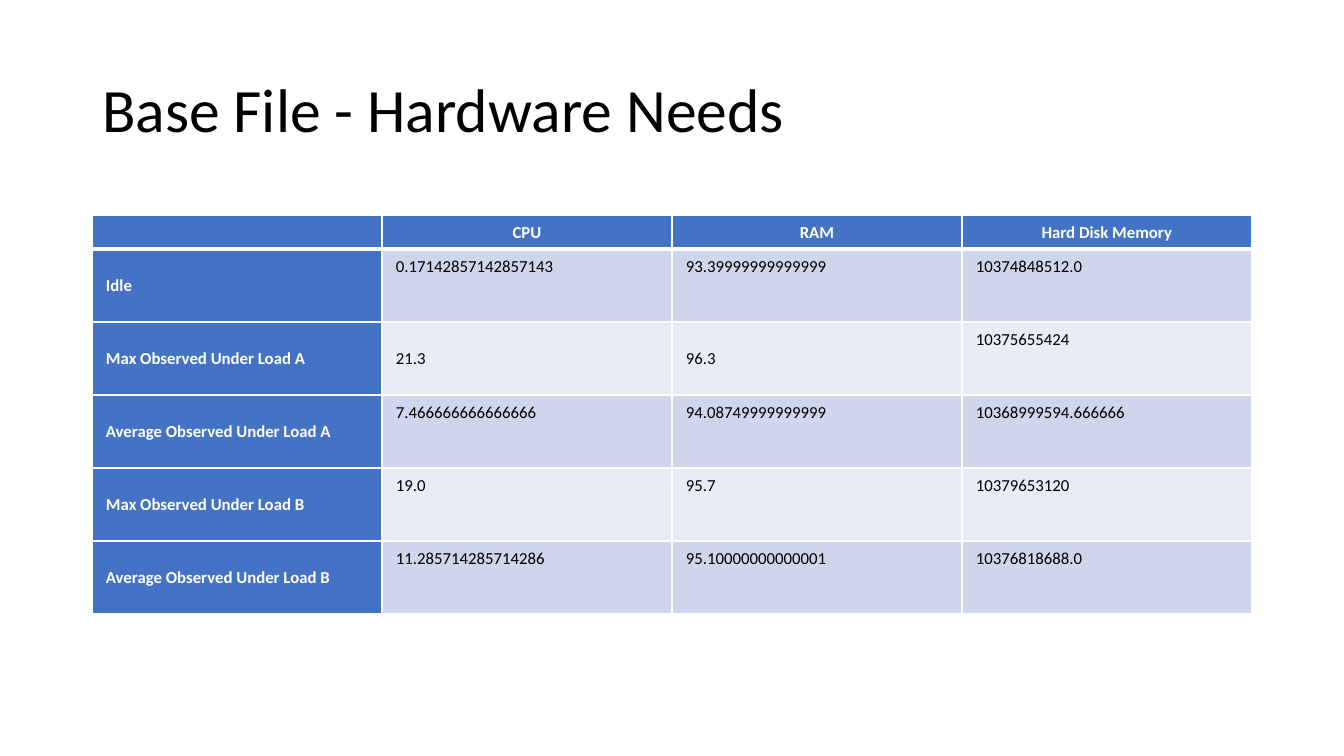
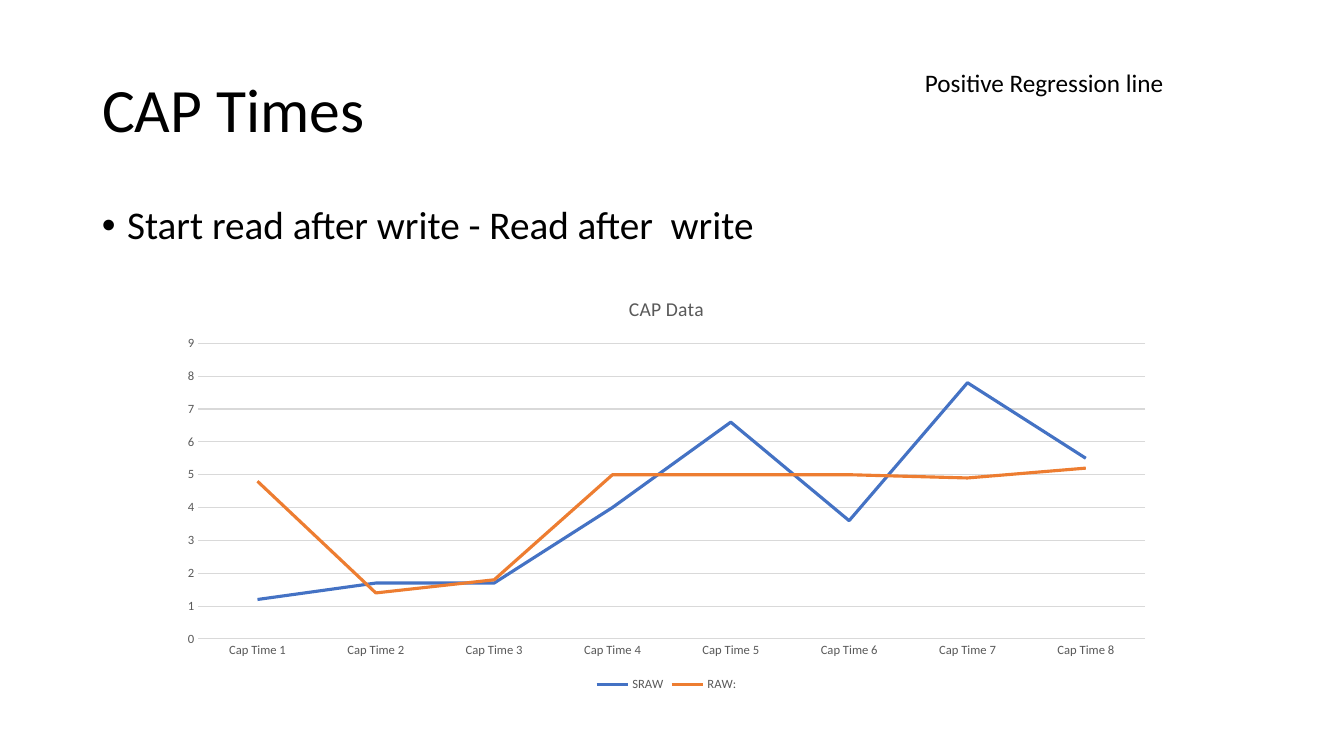
from lxml.etree import SubElement
from pptx import Presentation
from pptx.chart.data import CategoryChartData
from pptx.dml.color import RGBColor
from pptx.enum.chart import XL_CHART_TYPE, XL_LEGEND_POSITION, XL_TICK_MARK
from pptx.enum.text import MSO_ANCHOR, MSO_AUTO_SIZE, PP_ALIGN
from pptx.oxml.ns import qn
from pptx.util import Emu, Pt

BLACK = RGBColor(0x00, 0x00, 0x00)
WHITE = RGBColor(0xFF, 0xFF, 0xFF)
BLUE = RGBColor(0x44, 0x72, 0xC4)
ORANGE = RGBColor(0xED, 0x7D, 0x31)
BAND_DARK = RGBColor(0xCF, 0xD5, 0xEA)
BAND_LIGHT = RGBColor(0xE9, 0xEB, 0xF5)
GRAY = RGBColor(0x59, 0x59, 0x59)
GRID = RGBColor(0xD9, 0xD9, 0xD9)

FONT = "Calibri"
EMU_PER_PX = 914400 / 100.8
LEFT, CONTENT_WIDTH = 92, 1160
TITLE_ONLY = 5

HARDWARE = [
    ["", "CPU", "RAM", "Hard Disk Memory"],
    ["Idle", "0.17142857142857143", "93.39999999999999", "10374848512.0"],
    ["Max Observed Under Load A", "21.3", "96.3", "10375655424"],
    ["Average Observed Under Load A", "7.466666666666666", "94.08749999999999", "10368999594.666666"],
    ["Max Observed Under Load B", "19.0", "95.7", "10379653120"],
    ["Average Observed Under Load B", "11.285714285714286", "95.10000000000001", "10376818688.0"],
]
CENTERED_CELLS = {(2, 1), (2, 2)}

CAP_TIMES = [
    ("SRAW", BLUE, [1.2, 1.7, 1.7, 4, 6.6, 3.6, 7.8, 5.5]),
    ("RAW:", ORANGE, [4.8, 1.4, 1.8, 5, 5, 5, 4.9, 5.2]),
]


def px(*lengths):
    return [Emu(round(length * EMU_PER_PX)) for length in lengths]


class SlideWriter:
    def __init__(self):
        self.deck = Presentation()
        self.deck.slide_width, self.deck.slide_height = px(1344, 756)
        self.page = None

    def style_font(self, font, size, color, bold=False):
        font.name = FONT
        font.size = Pt(size)
        font.bold = bold
        font.color.rgb = color

    def add_span(self, para, text, size, color=BLACK, bold=False):
        span = para.add_run()
        span.text = text
        self.style_font(span.font, size, color, bold)

    def add_page(self, title):
        self.page = self.deck.slides.add_slide(self.deck.slide_layouts[TITLE_ONLY])
        box = self.page.shapes.title
        box.left, box.top, box.width, box.height = px(LEFT, 40, CONTENT_WIDTH, 146)
        frame = box.text_frame
        frame.word_wrap = True
        frame.auto_size = MSO_AUTO_SIZE.NONE
        frame.vertical_anchor = MSO_ANCHOR.MIDDLE
        para = frame.paragraphs[0]
        para.alignment = PP_ALIGN.LEFT
        para.line_spacing = 0.9
        self.add_span(para, title, 44)

    def add_text(self, bounds, text, size):
        box = self.page.shapes.add_textbox(*px(*bounds))
        box.text_frame.word_wrap = True
        para = box.text_frame.paragraphs[0]
        self.add_span(para, text, size)
        return para

    def add_bullet(self, bounds, text, size):
        para = self.add_text(bounds, text, size)
        para.line_spacing = 0.9
        para.space_before = Pt(10)
        properties = para._p.get_or_add_pPr()
        properties.set("marL", str(Pt(18)))
        properties.set("indent", str(-Pt(18)))
        SubElement(properties, qn("a:buFont"), typeface="Arial")
        SubElement(properties, qn("a:buChar"), char="•")

    def add_borders(self, cell, top, bottom):
        properties = cell._tc.get_or_add_tcPr()
        sides = [("L", 1), ("R", 1), ("T", top), ("B", bottom)]
        for position, (side, width) in enumerate(sides):
            line = SubElement(properties, qn(f"a:ln{side}"), w=str(Pt(width)))
            fill = SubElement(line, qn("a:solidFill"))
            SubElement(fill, qn("a:srgbClr"), val=str(WHITE))
            properties.insert(position, line)

    def fill_cell(self, cell, text, row, column):
        header, label = row == 0, column == 0
        strong = header or label
        cell.margin_left, cell.margin_right, cell.margin_top, cell.margin_bottom = px(14, 14, 6, 6)
        centered = strong or (row, column) in CENTERED_CELLS
        cell.vertical_anchor = MSO_ANCHOR.MIDDLE if centered else MSO_ANCHOR.TOP
        cell.fill.solid()
        band = BAND_DARK if row % 2 else BAND_LIGHT
        cell.fill.fore_color.rgb = BLUE if strong else band
        self.add_borders(cell, top=3 if row == 1 else 1, bottom=3 if header else 1)
        para = cell.text_frame.paragraphs[0]
        para.alignment = PP_ALIGN.CENTER if header else PP_ALIGN.LEFT
        para.line_spacing = 1.07
        if text:
            self.add_span(para, text, 12, WHITE if strong else BLACK, strong)
        else:
            para.font.size = Pt(12)

    def add_table(self, left, top, width, rows, header_height, row_height):
        heights = [header_height] + [row_height] * (len(rows) - 1)
        columns = len(rows[0])
        frame = self.page.shapes.add_table(len(rows), columns, *px(left, top, width, sum(heights)))
        table = frame.table
        table.horz_banding = False
        for column in table.columns:
            column.width = px(width / columns)[0]
        for row, (values, height) in enumerate(zip(rows, heights)):
            table.rows[row].height = px(height)[0]
            for column, text in enumerate(values):
                self.fill_cell(table.cell(row, column), text, row, column)

    def style_line(self, line, color, width):
        line.color.rgb = color
        line.width = Pt(width)

    def add_line_chart(self, bounds, title, categories, series):
        data = CategoryChartData()
        data.categories = categories
        for name, _, values in series:
            data.add_series(name, values)
        chart = self.page.shapes.add_chart(XL_CHART_TYPE.LINE, *px(*bounds), data).chart
        self.style_font(chart.font, 10, BLACK)
        chart.has_title = True
        self.add_span(chart.chart_title.text_frame.paragraphs[0], title, 14, GRAY)
        chart.chart_title.include_in_layout = False
        chart.has_legend = True
        chart.legend.position = XL_LEGEND_POSITION.BOTTOM
        chart.legend.include_in_layout = False
        self.style_font(chart.legend.font, 9, GRAY)
        for axis in (chart.category_axis, chart.value_axis):
            axis.major_tick_mark = XL_TICK_MARK.NONE
            axis.minor_tick_mark = XL_TICK_MARK.NONE
            self.style_font(axis.tick_labels.font, 9, GRAY)
        self.style_line(chart.category_axis.format.line, GRID, 0.75)
        values_axis = chart.value_axis
        values_axis.minimum_scale, values_axis.maximum_scale = 0, 9
        values_axis.major_unit = 1
        values_axis.format.line.fill.background()
        values_axis.has_major_gridlines = True
        self.style_line(values_axis.major_gridlines.format.line, GRID, 0.75)
        plot = chart.plots[0]
        plot.vary_by_categories = False
        for drawn, (_, color, _) in zip(plot.series, series):
            drawn.smooth = False
            self.style_line(drawn.format.line, color, 2.25)


def main():
    writer = SlideWriter()

    writer.add_page("Base File - Hardware Needs")
    writer.add_table(LEFT, 215, CONTENT_WIDTH, HARDWARE, header_height=34, row_height=73)

    writer.add_page("CAP Times")
    writer.add_bullet((LEFT, 201, CONTENT_WIDTH, 480), "Start read after write - Read after  write", 28)
    categories = [f"Cap Time {number}" for number in range(1, 9)]
    writer.add_line_chart((168, 278, 997, 418), "CAP Data", categories, CAP_TIMES)
    writer.add_text((915, 62, 337, 40), "Positive Regression line", 18)

    writer.deck.save("out.pptx")


if __name__ == "__main__":
    main()
